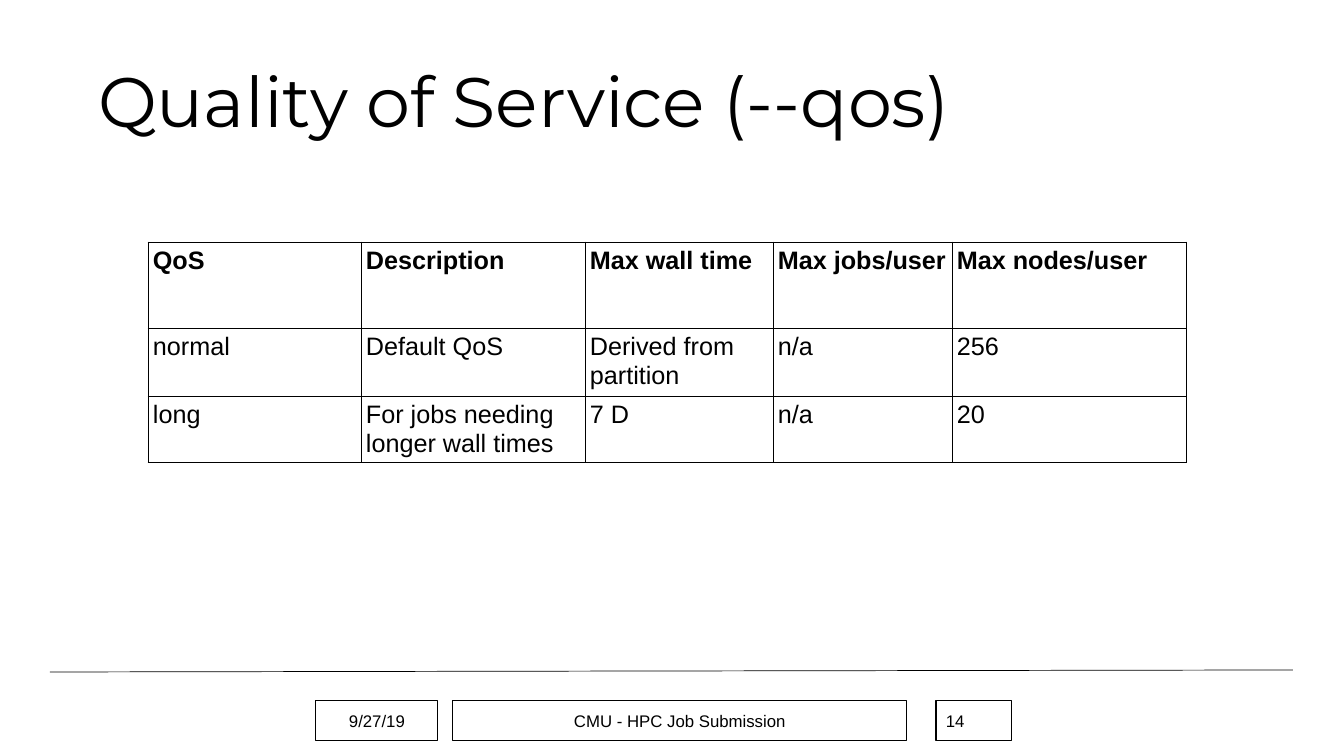
import pptx
import pptx.util
import pptx.dml.color
import pptx.enum.shapes
import pptx.enum.text
import pptx.oxml.ns
import lxml.etree

SCALE = 914400 / 100.8
BLACK = "000000"
ALIGN = pptx.enum.text.PP_ALIGN
ANCHOR = pptx.enum.text.MSO_ANCHOR

COLS = [213, 224, 188, 179, 234]
ROWS = [86, 68, 66]
CELLS = [
    ["QoS", "Description", "Max wall time", "Max jobs/user", "Max nodes/user"],
    ["normal", "Default QoS", "Derived from partition", "n/a", "256"],
    ["long", "For jobs needing longer wall times", "7 D", "n/a", "20"],
]


def px(*sizes):
    return [pptx.util.Emu(round(size * SCALE)) for size in sizes]


def color(code):
    return pptx.dml.color.RGBColor.from_string(code)


def style(para, size, face="Arial", bold=False, align=ALIGN.LEFT):
    para.alignment = align
    font = para.font
    font.name = face
    font.size = pptx.util.Pt(size)
    font.bold = bold
    font.color.rgb = color(BLACK)


def add_title(slide, text):
    title = slide.shapes.title
    title.left, title.top, title.width, title.height = px(88, 32, 1159, 146)
    frame = title.text_frame
    frame.text = text
    frame.auto_size = pptx.enum.text.MSO_AUTO_SIZE.NONE
    frame.vertical_anchor = ANCHOR.MIDDLE
    para = frame.paragraphs[0]
    para.line_spacing = 0.9
    style(para, 50, "Montserrat")


def add_rule(slide):
    """Draw the thin line above the footer."""
    kind = pptx.enum.shapes.MSO_CONNECTOR.STRAIGHT
    rule = slide.shapes.add_connector(kind, *px(50, 672, 1293, 670))
    rule.line.color.rgb = color(BLACK)
    rule.line.width = pptx.util.Pt(0.5)
    tag = pptx.oxml.ns.qn("a:effectLst")
    lxml.etree.SubElement(rule.line._get_or_add_ln().getparent(), tag)


def add_edges(cell):
    """Give a cell thin borders, placed ahead of its fill."""
    qn = pptx.oxml.ns.qn
    props = cell._tc.get_or_add_tcPr()
    for spot, side in enumerate(["lnL", "lnR", "lnT", "lnB"]):
        edge = props.makeelement(qn(f"a:{side}"), {"w": str(pptx.util.Pt(0.5))})
        fill = lxml.etree.SubElement(edge, qn("a:solidFill"))
        lxml.etree.SubElement(fill, qn("a:srgbClr"), val=BLACK)
        props.insert(spot, edge)


def add_grid(slide):
    size = px(148, 242, sum(COLS), sum(ROWS))
    table = slide.shapes.add_table(len(ROWS), len(COLS), *size).table
    table.first_row = table.horz_banding = False
    for col, width in zip(table.columns, px(*COLS)):
        col.width = width
    for row, height in zip(table.rows, px(*ROWS)):
        row.height = height
    for r, words in enumerate(CELLS):
        for c, word in enumerate(words):
            cell = table.cell(r, c)
            cell.text = word
            (cell.margin_left, cell.margin_right,
             cell.margin_top, cell.margin_bottom) = px(5, 5, 5, 5)
            cell.fill.background()
            style(cell.text_frame.paragraphs[0], 18, bold=r == 0)
            add_edges(cell)


def add_box(slide, left, width, text, align=ALIGN.CENTER):
    """Add one outlined box of the footer."""
    kind = pptx.enum.shapes.MSO_SHAPE.RECTANGLE
    box = slide.shapes.add_shape(kind, *px(left, 701, width, 40))
    box.shadow.inherit = False
    box.fill.background()
    box.line.color.rgb = color(BLACK)
    box.line.width = pptx.util.Pt(0.75)
    frame = box.text_frame
    frame.text = text
    frame.word_wrap = True
    frame.vertical_anchor = ANCHOR.MIDDLE
    style(frame.paragraphs[0], 12, align=align)


def main():
    deck = pptx.Presentation()
    deck.slide_width, deck.slide_height = px(1344, 756)
    slide = deck.slides.add_slide(deck.slide_layouts[5])
    add_rule(slide)
    add_title(slide, "Quality of Service (--qos)")
    add_grid(slide)
    add_box(slide, 316, 122, "9/27/19")
    add_box(slide, 453, 454, "CMU - HPC Job Submission")
    add_box(slide, 936, 76, "14", ALIGN.LEFT)
    deck.save("out.pptx")


if __name__ == "__main__":
    main()
